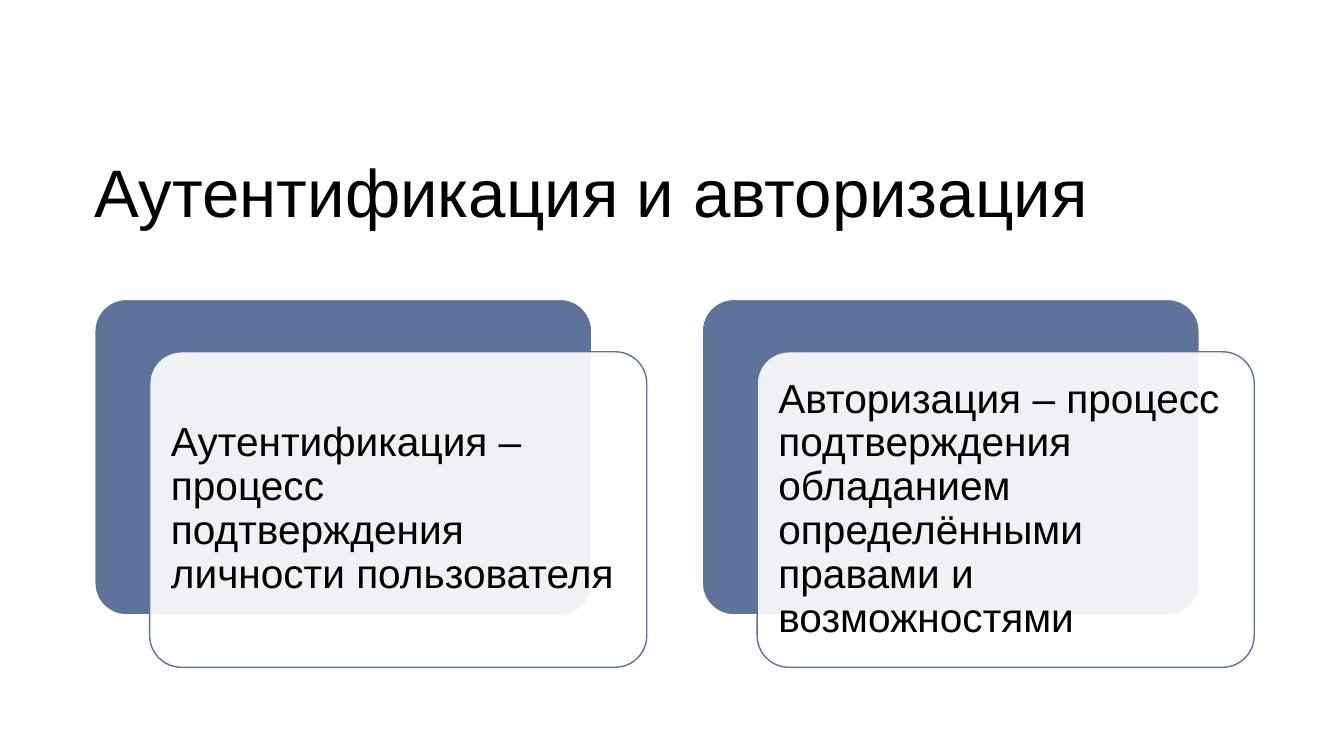
from lxml import etree
from pptx import Presentation
from pptx import util as u
from pptx.dml.color import RGBColor
from pptx.enum import shapes, text
from pptx.oxml.ns import qn

SLIDE_W, SLIDE_H = u.Inches(13.33), u.Inches(7.5)
BLUE = RGBColor(0x5D, 0x73, 0x9A)
WHITE = RGBColor(0xFF, 0xFF, 0xFF)
BLACK = RGBColor(0, 0, 0)
FONT = "Arial"

# Grid: two columns of overlapping cards
LEFT, CARDS_TOP = u.Inches(0.94), u.Inches(2.97)
COLUMN_STEP = u.Inches(6.025)
CARD_W, CARD_H = u.Inches(4.93), u.Inches(3.13)
SHIFT_X, SHIFT_Y = u.Inches(0.545), u.Inches(0.52)
TEXT_INSET = u.Inches(0.09)

TITLE = "Аутентификация и авторизация"
DEFINITIONS = [
    "Аутентификация – процесс подтверждения личности пользователя",
    "Авторизация – процесс подтверждения обладанием "
    "определёнными правами и возможностями",
]


def write(frame, wording, size, inset):
    """Fill a text frame with one left-aligned, vertically centred paragraph."""
    frame.word_wrap = True
    frame.auto_size = text.MSO_AUTO_SIZE.NONE
    frame.vertical_anchor = text.MSO_ANCHOR.MIDDLE
    frame.margin_left = frame.margin_right = inset
    frame.margin_top = frame.margin_bottom = inset
    paragraph = frame.paragraphs[0]
    paragraph.alignment = text.PP_ALIGN.LEFT
    paragraph.line_spacing = 0.9
    run = paragraph.add_run()
    run.text = wording
    run.font.name = FONT
    run.font.size = u.Pt(size)
    run.font.color.rgb = BLACK


def add_title(slide):
    title = slide.shapes.title
    title.left, title.top = LEFT, u.Inches(1.22)
    title.width, title.height = SLIDE_W - 2 * LEFT + u.Inches(0.05), u.Inches(1.45)
    write(title.text_frame, TITLE, 48, 0)


def add_card(slide, left, top, fill, outline, opacity=100):
    card = slide.shapes.add_shape(
        shapes.MSO_SHAPE.ROUNDED_RECTANGLE, left, top, CARD_W, CARD_H)
    card.adjustments[0] = 0.1
    card.shadow.inherit = False
    card.fill.solid()
    card.fill.fore_color.rgb = fill
    card.line.color.rgb = outline
    card.line.width = u.Pt(1)
    if opacity < 100:
        color = card.fill._xPr.find(qn("a:solidFill"))[0]
        etree.SubElement(color, qn("a:alpha"), val=str(opacity * 1000))


def add_definition(slide, column, wording):
    left = LEFT + column * COLUMN_STEP
    front_left, front_top = left + SHIFT_X, CARDS_TOP + SHIFT_Y
    # Back card, translucent front card, then the definition over both
    add_card(slide, left, CARDS_TOP, BLUE, WHITE)
    add_card(slide, front_left, front_top, WHITE, BLUE, opacity=90)
    definition = slide.shapes.add_textbox(
        front_left + TEXT_INSET, front_top + TEXT_INSET,
        CARD_W - 2 * TEXT_INSET, CARD_H - 2 * TEXT_INSET)
    write(definition.text_frame, wording, 29, u.Inches(0.12))


def main():
    deck = Presentation()
    deck.slide_width, deck.slide_height = SLIDE_W, SLIDE_H
    slide = deck.slides.add_slide(deck.slide_layouts[5])
    add_title(slide)
    for column, wording in enumerate(DEFINITIONS):
        add_definition(slide, column, wording)
    deck.save("out.pptx")


main()
